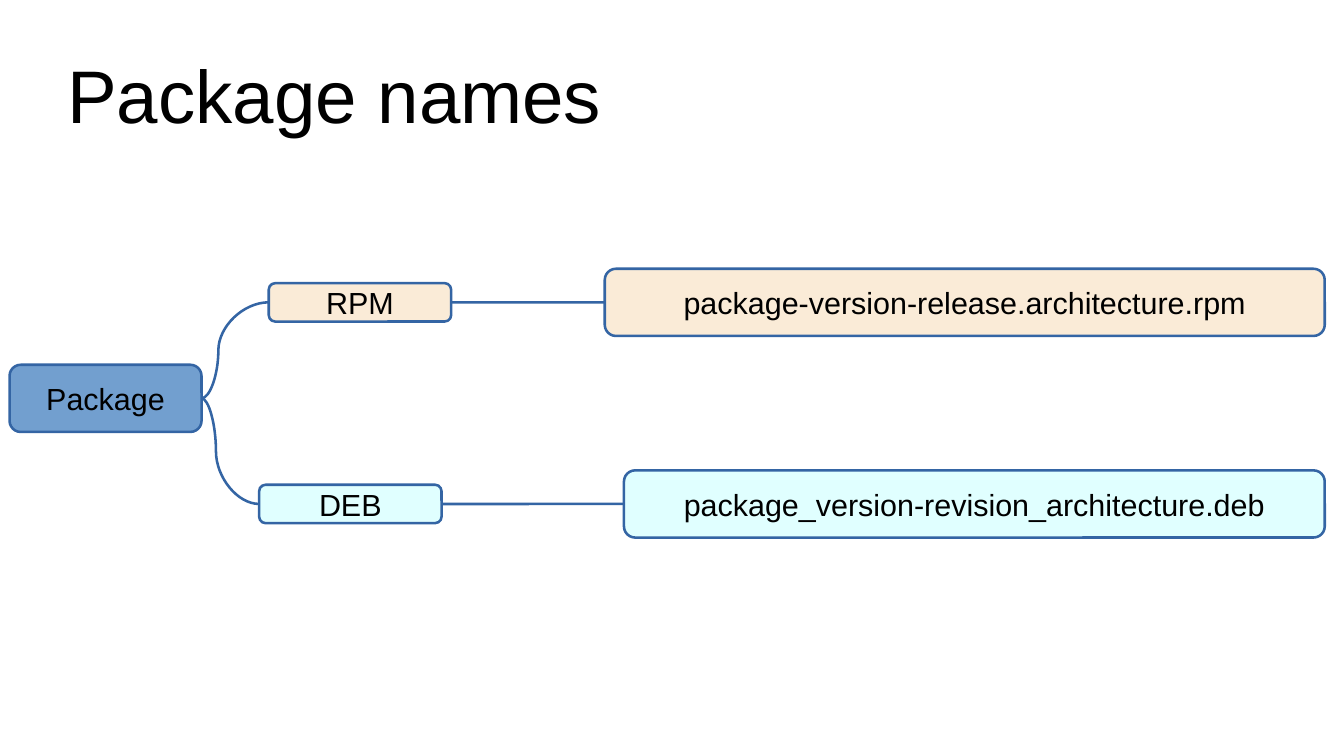
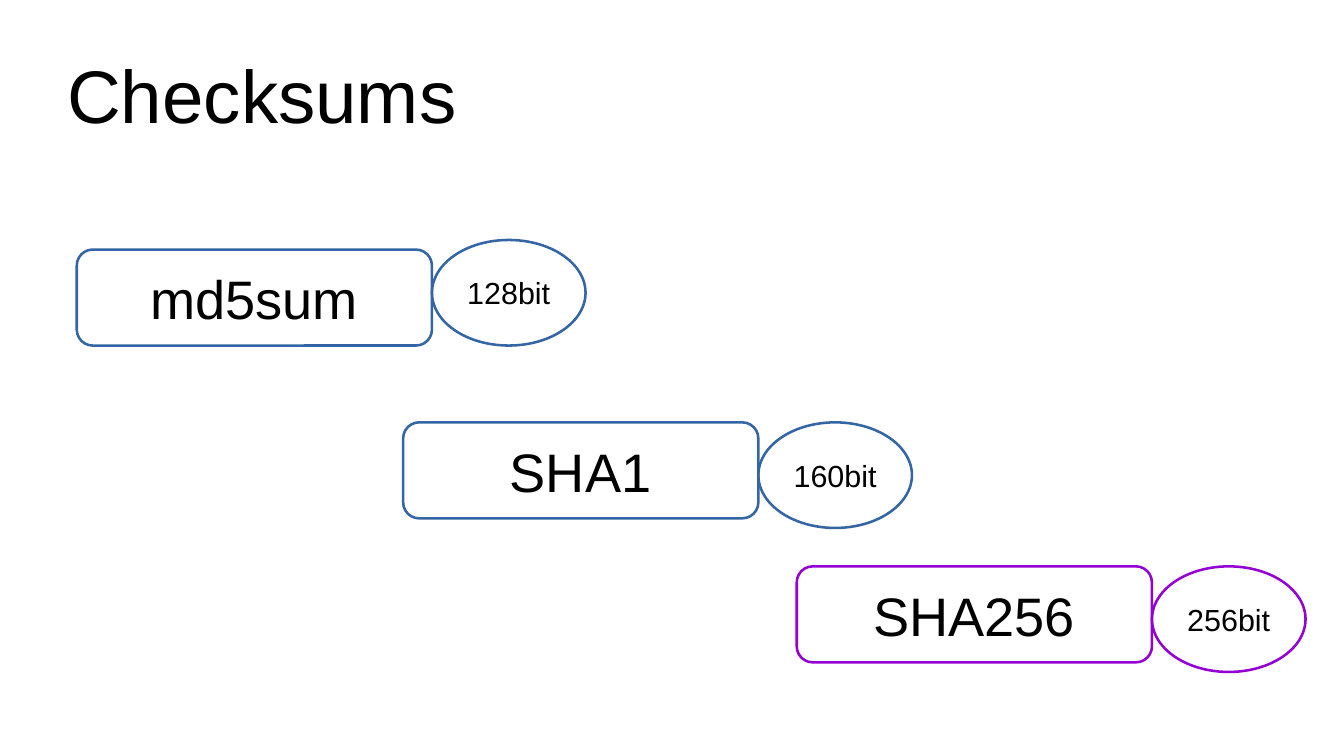
"""Build two slides on package names and checksums."""
from lxml.etree import SubElement
from pptx import Presentation
from pptx.dml.color import RGBColor
from pptx.enum.shapes import MSO_CONNECTOR, MSO_SHAPE
from pptx.enum.text import MSO_ANCHOR, MSO_AUTO_SIZE, PP_ALIGN
from pptx.oxml.ns import qn
from pptx.util import Cm, Pt

FONT = "Arial"
BLACK = "000000"
BLUE = "3465A4"
VIOLET = "9400D3"
PACKAGE_FILL = "729FCF"
RPM_FILL = "FAEBD7"
DEB_FILL = "E0FFFF"
LINE_WIDTH = Pt(1.5)
LEFT_SITE, RIGHT_SITE = 1, 3


def color(hex_string):
    return RGBColor.from_string(hex_string)


def add_node(slide, kind, box, label, size=18, line=BLUE, fill=None):
    node = slide.shapes.add_shape(kind, *[Cm(length) for length in box])
    node.shadow.inherit = False
    if fill:
        node.fill.solid()
        node.fill.fore_color.rgb = color(fill)
    else:
        node.fill.background()
    node.line.color.rgb = color(line)
    node.line.width = LINE_WIDTH
    frame = node.text_frame
    frame.text = label
    frame.word_wrap = False
    frame.vertical_anchor = MSO_ANCHOR.MIDDLE
    frame.margin_left = frame.margin_right = Cm(0.28)
    frame.margin_top = frame.margin_bottom = Cm(0.15)
    paragraph = frame.paragraphs[0]
    paragraph.alignment = PP_ALIGN.CENTER
    font = paragraph.runs[0].font
    font.name = FONT
    font.size = Pt(size)
    font.color.rgb = color(BLACK)
    return node


presentation = Presentation()
presentation.slide_width = Cm(28)
presentation.slide_height = Cm(15.75)

slides = []
for heading in ("Package names", "Checksums"):
    slide = presentation.slides.add_slide(presentation.slide_layouts[5])
    title = slide.shapes.title
    title.left, title.top, title.width, title.height = Cm(1.4), Cm(0.63), Cm(25.2), Cm(2.63)
    frame = title.text_frame
    frame.text = heading
    frame.word_wrap = True
    frame.auto_size = MSO_AUTO_SIZE.NONE
    frame.vertical_anchor = MSO_ANCHOR.MIDDLE
    frame.margin_left = frame.margin_right = frame.margin_top = frame.margin_bottom = 0
    frame.paragraphs[0].alignment = PP_ALIGN.LEFT
    font = frame.paragraphs[0].runs[0].font
    font.name = FONT
    font.size = Pt(44)
    font.color.rgb = color(BLACK)
    slides.append(slide)
names_slide, checksums_slide = slides

package = add_node(names_slide, MSO_SHAPE.ROUNDED_RECTANGLE, (0.2, 7.6, 4, 1.4),
                   "Package", fill=PACKAGE_FILL)
formats = [
    ("RPM", 5.6, "package-version-release.architecture.rpm", 12.6, 5.6, RPM_FILL),
    ("DEB", 5.4, "package_version-revision_architecture.deb", 13, 9.8, DEB_FILL),
]
right_edge = 27.6
links = []
for name, name_left, pattern, pattern_left, top, fill in formats:
    name_node = add_node(names_slide, MSO_SHAPE.ROUNDED_RECTANGLE,
                         (name_left, top + 0.3, 3.8, 0.8), name, fill=fill)
    pattern_node = add_node(names_slide, MSO_SHAPE.ROUNDED_RECTANGLE,
                            (pattern_left, top, right_edge - pattern_left, 1.4),
                            pattern, fill=fill)
    links.append((MSO_CONNECTOR.CURVE, package, name_node))
    links.append((MSO_CONNECTOR.STRAIGHT, name_node, pattern_node))

for kind, source, target in links:
    link = names_slide.shapes.add_connector(kind, 0, 0, 0, 0)
    link.begin_connect(source, RIGHT_SITE)
    link.end_connect(target, LEFT_SITE)
    link.line.color.rgb = color(BLUE)
    link.line.width = LINE_WIDTH
    properties = link._element.spPr
    SubElement(properties, qn("a:effectLst"))
    if kind == MSO_CONNECTOR.CURVE:
        adjustments = properties.find(qn("a:prstGeom")).get_or_add_avLst()
        SubElement(adjustments, qn("a:gd"), name="adj1", fmla="val 25000")

checksums = [
    ("md5sum", 1.6, 5.2, "128bit", 5, BLUE),
    ("SHA1", 8.4, 8.8, "160bit", 8.8, BLUE),
    ("SHA256", 16.6, 11.8, "256bit", 11.8, VIOLET),
]
name_width = 7.4
for name, left, top, bits, bits_top, line in checksums:
    add_node(checksums_slide, MSO_SHAPE.ROUNDED_RECTANGLE,
             (left, top, name_width, 2), name, size=32, line=line)
    add_node(checksums_slide, MSO_SHAPE.OVAL,
             (left + name_width, bits_top, 3.2, 2.2), bits, line=line)

presentation.save("out.pptx")
